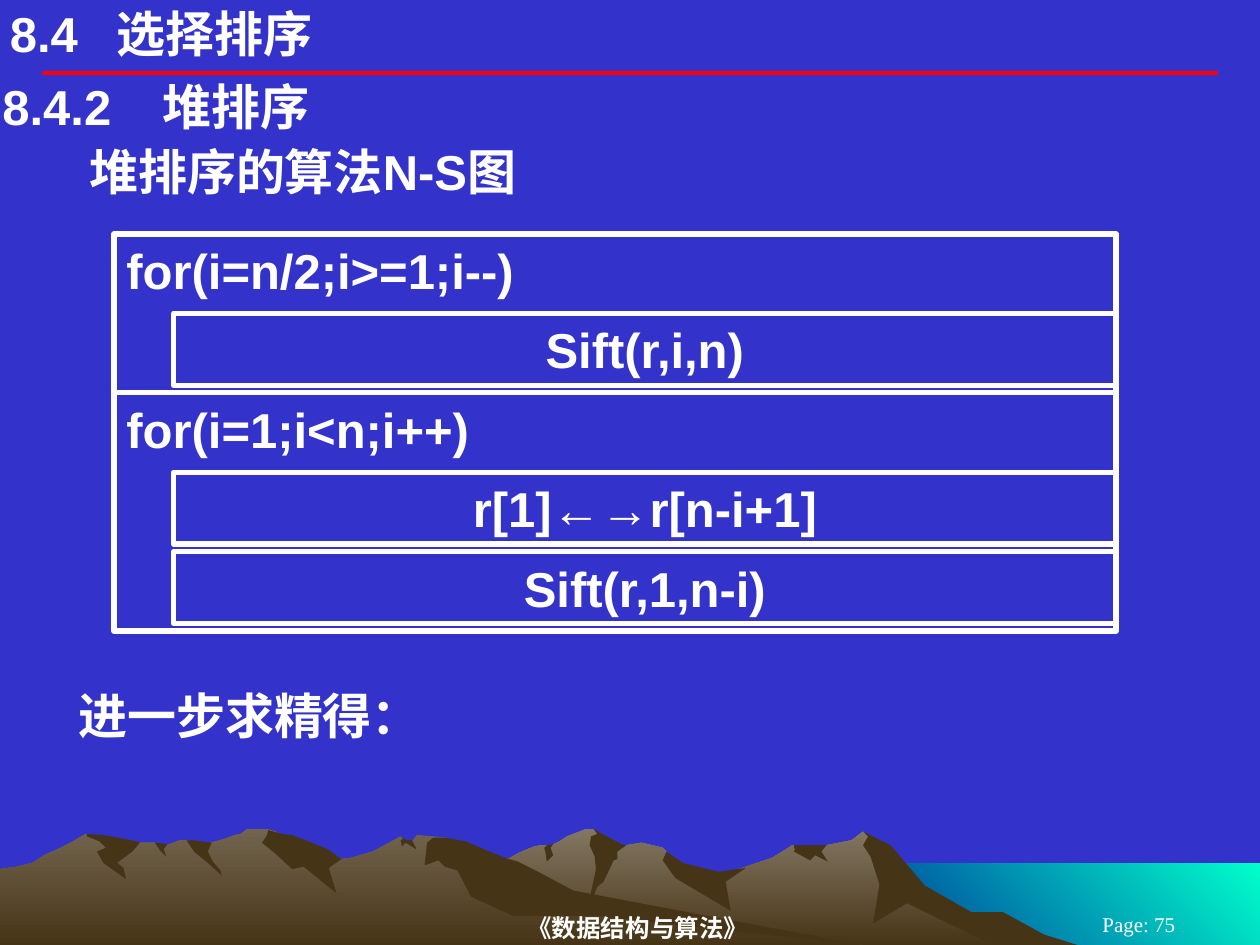
import dataclasses

import pptx
import pptx.dml.color
import pptx.enum.shapes
import pptx.enum.text
import pptx.oxml.ns
import pptx.util
from lxml import etree

Cm = pptx.util.Cm
ALIGN = pptx.enum.text.PP_ALIGN
ANCHOR = pptx.enum.text.MSO_ANCHOR
RECTANGLE = pptx.enum.shapes.MSO_SHAPE.RECTANGLE


@dataclasses.dataclass(frozen=True)
class Theme:
    """Colours, fonts and type sizes of the slide."""
    background: str = "3333CC"
    ink: str = "FFFFFF"
    rule: str = "FF0000"
    sea: tuple = ("00FFCC", "003399")
    far_ridge: tuple = ("837763", "463416")
    near_ridge: tuple = ("72644E", "463416")
    shade: str = "463416"
    body_font: str = "Arial"
    footer_font: str = "Times New Roman"
    body_size: int = 28
    footer_size: int = 14
    page_size: int = 12


THEME = Theme()
OUTLINE_UNIT = Cm(2.54) / 100

FAR_RIDGE = [
    (802, 82), (778, 69), (764, 65), (723, 40), (702, 13), (685, 2), (676, 9), (656, 13),
    (629, 13), (613, 23), (566, 39), (536, 32), (529, 18), (526, 15), (509, 11), (497, 13),
    (486, 15), (474, 3), (471, 0), (465, 0), (450, 6), (444, 10), (438, 13), (430, 13),
    (424, 14), (412, 19), (405, 23), (394, 27), (355, 40), (327, 51), (277, 81), (258, 93),
    (821, 93)]
FAR_SHADES = [
    [(796, 66), (771, 66), (734, 45), (707, 13), (685, 2), (689, 6), (685, 13), (691, 22),
     (698, 44), (693, 75), (720, 59), (792, 94), (858, 93), (829, 84)],
    [(471, 0), (474, 4), (469, 6), (468, 13), (472, 22), (473, 32), (465, 69), (474, 46),
     (479, 42), (487, 25), (490, 24), (490, 18), (497, 13), (493, 12)],
    [(529, 18), (526, 25), (536, 39), (580, 65), (576, 42), (592, 31), (570, 34), (542, 27)],
    [(650, 13), (630, 13), (631, 17), (630, 18), (643, 25), (647, 21), (657, 26), (652, 18),
     (656, 13)],
    [(433, 19), (432, 15), (434, 13), (439, 12), (437, 15), (439, 21), (434, 26)]]
NEAR_RIDGE = [
    (690, 93), (667, 90), (432, 54), (354, 7), (331, 5), (327, 10), (323, 10), (318, 6),
    (296, 18), (279, 23), (271, 24), (260, 18), (236, 23), (223, 5), (219, 2), (212, 0),
    (196, 0), (191, 4), (186, 5), (178, 8), (160, 13), (148, 9), (143, 9), (132, 13),
    (128, 13), (123, 11), (111, 11), (94, 13), (68, 4), (56, 11), (46, 16), (35, 21),
    (26, 27), (14, 30), (0, 32), (0, 93)]
NEAR_SHADES = [
    [(212, 5), (208, 11), (219, 20), (232, 32), (241, 30), (267, 51), (261, 31), (271, 24),
     (260, 16), (245, 10), (232, 5), (224, 4), (213, 1)],
    [(370, 10), (354, 7), (344, 7), (339, 11), (337, 29), (348, 25), (353, 30), (363, 33),
     (374, 54), (407, 69), (472, 69), (690, 93), (683, 92), (455, 49), (427, 34), (411, 26),
     (401, 23), (386, 17)],
    [(318, 9), (320, 8), (318, 6), (323, 9), (327, 9), (330, 15), (330, 16), (322, 11),
     (319, 14)],
    [(154, 9), (161, 10), (168, 11), (165, 18), (169, 26), (175, 33), (176, 37), (165, 27),
     (154, 18), (148, 9)],
    [(133, 12), (130, 16), (132, 22), (127, 17), (123, 11)],
    [(109, 10), (111, 11), (105, 18), (93, 27), (98, 31), (100, 40), (82, 27), (77, 18),
     (84, 15), (79, 10), (69, 6), (69, 4), (83, 5), (94, 7)]]


def rgb(code):
    """Turn a hex code into a colour."""
    return pptx.dml.color.RGBColor.from_string(code)


def paint(shape, colour, angle=270):
    """Fill a shape without outline by one colour or a pair as gradient."""
    shape.shadow.inherit = False
    shape.line.fill.background()
    if isinstance(colour, str):
        shape.fill.solid()
        shape.fill.fore_color.rgb = rgb(colour)
        return
    shape.fill.gradient()
    shape.fill.gradient_angle = angle
    for stop, code in zip(shape.fill.gradient_stops, colour):
        stop.color.rgb = rgb(code)


def write(shape, text, *, size=THEME.body_size, font=THEME.body_font, bold=True,
          align=ALIGN.LEFT, anchor=ANCHOR.TOP, insets=(0.25, 0.13), indent=0, tab=None):
    """Set the text of a shape with its format."""
    frame = shape.text_frame
    frame.word_wrap = True
    frame.vertical_anchor = anchor
    side, edge = map(Cm, insets)
    frame.margin_left, frame.margin_right = side + Cm(indent), side
    frame.margin_top = frame.margin_bottom = edge
    paragraph = frame.paragraphs[0]
    paragraph.alignment = align
    if tab:
        stops = etree.SubElement(paragraph._p.get_or_add_pPr(), pptx.oxml.ns.qn("a:tabLst"))
        etree.SubElement(stops, pptx.oxml.ns.qn("a:tab"), pos=str(Cm(tab)), algn="l")
    run = paragraph.add_run()
    run.text = text
    run.font.size = pptx.util.Pt(size)
    run.font.name = font
    run.font.bold = bold
    run.font.color.rgb = rgb(THEME.ink)


def add_text(slide, box, text, **style):
    """Add a text box in the given box in centimetres."""
    write(slide.shapes.add_textbox(*map(Cm, box)), text, **style)


def add_landscape(slide, box):
    """Draw the sea and both mountain ridges from the top left of the box."""
    left, top, width, height = box
    sea = slide.shapes.add_shape(RECTANGLE, Cm(left + 17.35), Cm(top + 0.69),
                                 Cm(width - 17.35), Cm(height - 0.69))
    paint(sea, THEME.sea, angle=225)
    layers = [(FAR_RIDGE, THEME.far_ridge), *((shade, THEME.shade) for shade in FAR_SHADES),
              (NEAR_RIDGE, THEME.near_ridge), *((shade, THEME.shade) for shade in NEAR_SHADES)]
    for outline, colour in layers:
        builder = slide.shapes.build_freeform(*outline[0], scale=OUTLINE_UNIT)
        builder.add_line_segments(outline[1:], close=True)
        paint(builder.convert_to_shape(Cm(left), Cm(top)), colour)


def add_footer(slide, box):
    """Write the course name and the page number in the box."""
    left, top, width, height = box
    style = dict(font=THEME.footer_font, align=ALIGN.CENTER, anchor=ANCHOR.MIDDLE)
    add_text(slide, (left + 5.16, top, 15.4, height), "《数据结构与算法》",
             size=THEME.footer_size, insets=(0, 0.03), **style)
    add_text(slide, (left + 20.95, top + 0.08, 4.02, 0.43), "Page: 75",
             size=THEME.page_size, bold=False, **style)


def add_headings(slide, box):
    """Write the section titles and the red rule in the box."""
    left, top, width, height = box
    add_text(slide, (left + 0.2, top + 0.08, 16.5, 1.2), "8.4\t选择排序",
             insets=(0, 0), tab=2.15)
    rule = slide.shapes.add_connector(
        pptx.enum.shapes.MSO_CONNECTOR.STRAIGHT, Cm(left + 0.84), Cm(top + 1.48),
        Cm(left + width - 0.84), Cm(top + 1.48))
    rule.line.color.rgb = rgb(THEME.rule)
    rule.line.width = pptx.util.Pt(2.25)
    etree.SubElement(rule._element.spPr, pptx.oxml.ns.qn("a:effectLst"))
    add_text(slide, (left, top + 1.52, width, 1.25), "8.4.2\t堆排序",
             insets=(0.05, 0.03), tab=3.23)
    add_text(slide, (left, top + 2.72, width, 1.45), "堆排序的算法N-S图", indent=1.55)


def add_cell(slide, box, text, align):
    """Draw one outlined cell of the N-S diagram."""
    cell = slide.shapes.add_shape(RECTANGLE, *map(Cm, box))
    cell.shadow.inherit = False
    cell.fill.background()
    cell.line.color.rgb = rgb(THEME.ink)
    cell.line.width = pptx.util.Pt(3)
    write(cell, text, align=align)


def add_diagram(slide, box, loops):
    """Stack the loops in the box, each with its steps indented below it."""
    left, top, width, height = box
    row = height / sum(1 + len(steps) for _, steps in loops)
    indent, gap = 1.2, 0.15
    for head, steps in loops:
        add_cell(slide, (left, top, width, row * (1 + len(steps))), head, ALIGN.LEFT)
        top += row
        for step in steps:
            add_cell(slide, (left + indent, top, width - indent, row - gap), step, ALIGN.CENTER)
            top += row


def main():
    """Build the slide and save it."""
    deck = pptx.Presentation()
    deck.slide_width, deck.slide_height = Cm(25.4), Cm(19.05)
    slide = deck.slides.add_slide(deck.slide_layouts[6])
    slide.background.fill.solid()
    slide.background.fill.fore_color.rgb = rgb(THEME.background)
    add_landscape(slide, (0, 16.71, 25.4, 2.34))
    add_footer(slide, (0, 18.34, 25.4, 0.71))
    add_headings(slide, (0, 0, 25.4, 4.17))
    add_diagram(slide, (2.3, 4.72, 20.2, 8), [
        ("for(i=n/2;i>=1;i--)", ["Sift(r,i,n)"]),
        ("for(i=1;i<n;i++)", ["r[1]←→r[n-i+1]", "Sift(r,1,n-i)"])])
    add_text(slide, (0, 13.69, 25.3, 1.45), "进一步求精得：", indent=1.33)
    deck.save("out.pptx")


if __name__ == "__main__":
    main()
